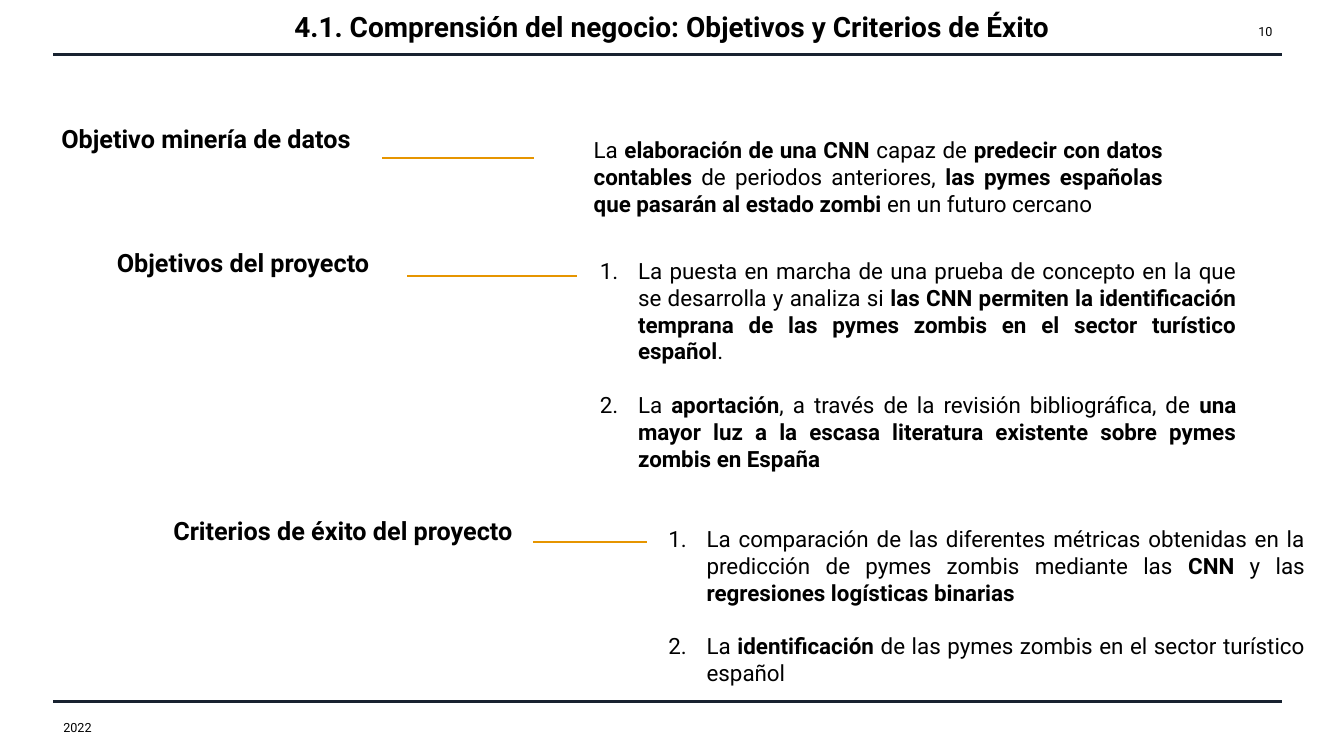
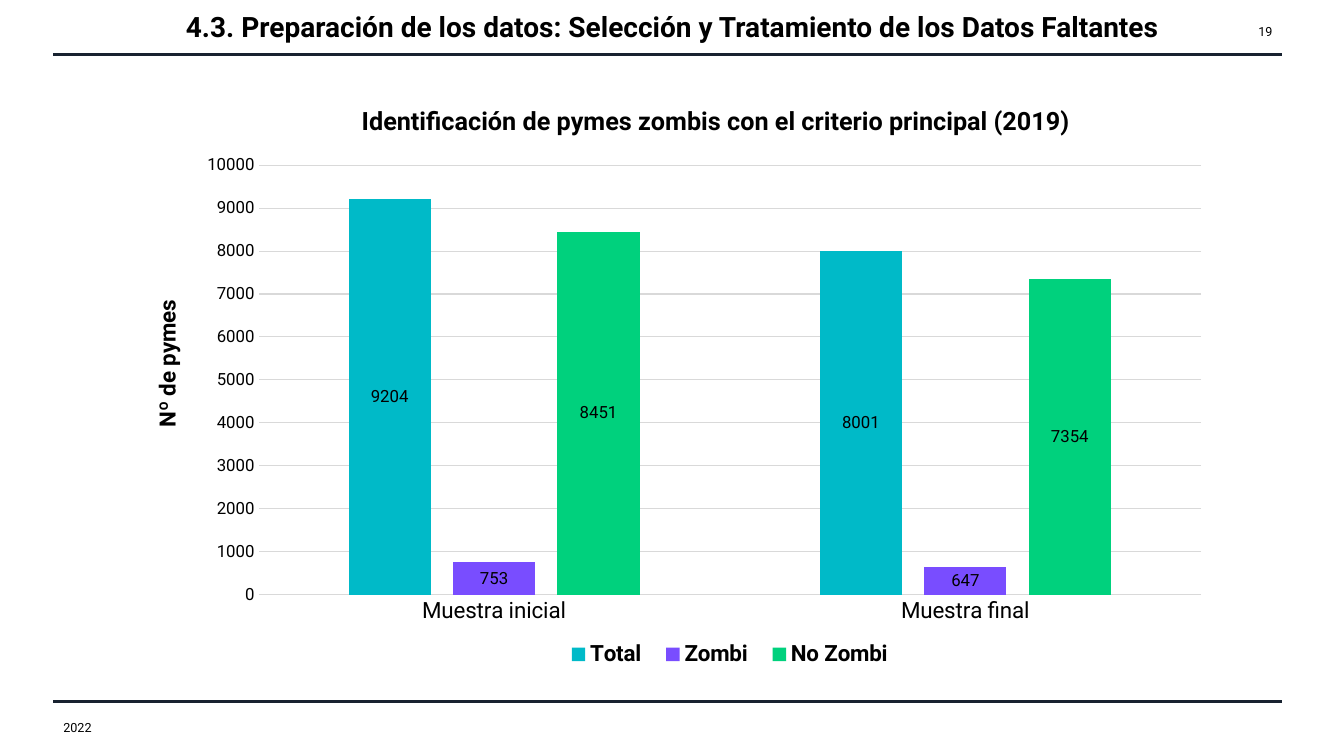
import pptx
import pptx.chart.data
import pptx.dml.color
import pptx.enum.chart
import pptx.enum.shapes
import pptx.enum.text
import pptx.oxml.ns
import pptx.oxml.xmlchemy
import pptx.util

Inches = pptx.util.Inches
Pt = pptx.util.Pt
RGBColor = pptx.dml.color.RGBColor
ALIGN = pptx.enum.text.PP_ALIGN
ANCHOR = pptx.enum.text.MSO_ANCHOR
OxmlElement = pptx.oxml.xmlchemy.OxmlElement
qn = pptx.oxml.ns.qn

FONT = "Roboto"
BLACK = RGBColor(0x00, 0x00, 0x00)
WHITE = RGBColor(0xFF, 0xFF, 0xFF)
NAVY = RGBColor(0x18, 0x22, 0x30)
AMBER = RGBColor(0xE6, 0x95, 0x00)
GRID_GRAY = RGBColor(0xD9, 0xD9, 0xD9)
TEAL = RGBColor(0x00, 0xBA, 0xC8)
VIOLET = RGBColor(0x79, 0x4D, 0xFF)
GREEN = RGBColor(0x00, 0xD1, 0x7D)


def add_line(slide, left, right, y, color, width):
    rule = slide.shapes.add_connector(
        pptx.enum.shapes.MSO_CONNECTOR.STRAIGHT,
        Inches(left), Inches(y), Inches(right), Inches(y))
    rule.line.color.rgb = color
    rule.line.width = Pt(width)
    rule._element.spPr.append(OxmlElement("a:effectLst"))


def add_text(shape, paragraphs, size, align=ALIGN.LEFT, anchor=ANCHOR.TOP,
             bold=False, numbered=False):
    """Fill a shape; each paragraph is a list of runs that alternate in weight."""
    frame = shape.text_frame
    frame.word_wrap = True
    frame.auto_size = pptx.enum.text.MSO_AUTO_SIZE.NONE
    frame.vertical_anchor = anchor
    for number, runs in enumerate(paragraphs):
        paragraph = frame.add_paragraph() if number else frame.paragraphs[0]
        paragraph.alignment = align
        if number:
            paragraph.space_before = Pt(19)
        if numbered:
            properties = paragraph._p.get_or_add_pPr()
            properties.set("marL", str(Inches(0.38)))
            properties.set("indent", str(Inches(-0.38)))
            numbering = OxmlElement("a:buAutoNum")
            numbering.set("type", "arabicPeriod")
            properties.append(numbering)
        for position, text in enumerate(runs):
            run = paragraph.add_run()
            run.text = text
            run.font.name = FONT
            run.font.size = Pt(size)
            run.font.color.rgb = BLACK
            run.font.bold = bold != (position % 2 == 1)


deck = pptx.Presentation()
deck.slide_width = Inches(13.33)
deck.slide_height = Inches(7.5)
background = deck.slide_master.background.fill
background.solid()
background.fore_color.rgb = WHITE

# Title, rules, year and page number
slides = []
for title, left, width, page in [
    ("4.1. Comprensión del negocio: Objetivos y Criterios de Éxito", 2.11, 9.11, "10"),
    ("4.3. Preparación de los datos: Selección y Tratamiento de los Datos Faltantes",
     1.71, 9.92, "19"),
]:
    slide = deck.slides.add_slide(deck.slide_layouts[5])
    heading = slide.shapes.title
    heading.left, heading.top = Inches(left), Inches(0)
    heading.width, heading.height = Inches(width), Inches(0.53)
    add_text(heading, [[title]], 20, ALIGN.CENTER, ANCHOR.MIDDLE, bold=True)
    for y in (0.54, 6.96):
        add_line(slide, 0.53, 12.72, y, NAVY, 2.25)
    year = slide.shapes.add_textbox(Inches(0.53), Inches(7.02), Inches(4.5), Inches(0.4))
    add_text(year, [["2022"]], 9, anchor=ANCHOR.MIDDLE)
    page_number = slide.shapes.add_textbox(
        Inches(12.02), Inches(0.11), Inches(0.7), Inches(0.4))
    add_text(page_number, [[page]], 9, ALIGN.RIGHT, ANCHOR.MIDDLE)
    slides.append(slide)
goals_slide, data_slide = slides

# Goals: label, amber rule and justified explanation
goals = [
    ("Objetivo minería de datos", (0.51, 1.17, 3.28, 0.4), (3.79, 5.3, 1.57),
     (5.79, 1.3, 5.84, 0.91),
     [["La ", "elaboración de una CNN", " capaz de ", "predecir con datos contables",
       " de periodos anteriores, ", "las pymes españolas que pasarán al estado zombi",
       " en un futuro cercano"]]),
    ("Objetivos del proyecto", (1.06, 2.4, 3.28, 0.4), (4.04, 5.72, 2.74),
     (5.85, 2.5, 6.51, 2.26),
     [["La puesta en marcha de una prueba de concepto en la que se desarrolla y analiza si ",
       "las CNN permiten la identificación temprana de las pymes zombis en el sector "
       "turístico español", "."],
      ["La ", "aportación", ", a través de la revisión bibliográfica, de ",
       "una mayor luz a la escasa literatura existente sobre pymes zombis en España"]]),
    ("Criterios de éxito del proyecto", (1.62, 5.06, 3.68, 0.4), (5.29, 6.42, 5.38),
     (6.53, 5.16, 6.51, 1.78),
     [["La comparación de las diferentes métricas obtenidas en la predicción de pymes "
       "zombis mediante las ", "CNN", " y las ", "regresiones logísticas binarias"],
      ["La ", "identificación", " de las pymes zombis en el sector turístico español"]]),
]
for label, label_box, rule, detail_box, paragraphs in goals:
    goal = goals_slide.shapes.add_textbox(*map(Inches, label_box))
    add_text(goal, [[label]], 18, bold=True)
    add_line(goals_slide, *rule, AMBER, 1.5)
    detail = goals_slide.shapes.add_textbox(*map(Inches, detail_box))
    add_text(detail, paragraphs, 16, ALIGN.JUSTIFY, numbered=len(paragraphs) > 1)

# Chart of zombie companies
series_data = [
    ("Total", (9204, 8001), TEAL),
    ("Zombi", (753, 647), VIOLET),
    ("No Zombi", (8451, 7354), GREEN),
]
samples = pptx.chart.data.CategoryChartData()
samples.categories = ["Muestra inicial", "Muestra final"]
for name, values, color in series_data:
    samples.add_series(name, values)
chart = data_slide.shapes.add_chart(
    pptx.enum.chart.XL_CHART_TYPE.COLUMN_CLUSTERED,
    Inches(1.26), Inches(0.81), Inches(10.87), Inches(5.92), samples).chart
chart.font.name = FONT
chart.font.size = Pt(10)
chart.font.color.rgb = BLACK

bars = chart.plots[0]
bars.gap_width = 219
bars.overlap = -27
bars.vary_by_categories = False
for series, (name, values, color) in zip(bars.series, series_data):
    series.format.fill.solid()
    series.format.fill.fore_color.rgb = color
    labels = series.data_labels
    labels.show_value = True
    labels.position = pptx.enum.chart.XL_LABEL_POSITION.CENTER
    labels.font.name = FONT
    labels.font.size = Pt(12)
    labels.font.color.rgb = BLACK

companies = chart.value_axis
companies.minimum_scale = 0
companies.maximum_scale = 10000
companies.major_unit = 1000
companies.format.line.fill.background()
companies.major_gridlines.format.line.color.rgb = GRID_GRAY
companies.major_gridlines.format.line.width = Pt(0.75)
chart.category_axis.format.line.color.rgb = GRID_GRAY
chart.category_axis.format.line.width = Pt(0.75)
for axis, size in ((companies, 12), (chart.category_axis, 16)):
    axis.major_tick_mark = pptx.enum.chart.XL_TICK_MARK.NONE
    axis.tick_labels.font.name = FONT
    axis.tick_labels.font.size = Pt(size)
    axis.tick_labels.font.color.rgb = BLACK

for caption, text, size in (
    (chart.chart_title, "Identificación de pymes zombis con el criterio principal (2019)", 18),
    (companies.axis_title, "Nº de pymes", 16),
):
    run = caption.text_frame.paragraphs[0].add_run()
    run.text = text
    run.font.name = FONT
    run.font.size = Pt(size)
    run.font.bold = True
    run.font.color.rgb = BLACK

chart.has_legend = True
chart.legend.position = pptx.enum.chart.XL_LEGEND_POSITION.BOTTOM
chart.legend.include_in_layout = False
chart.legend.font.name = FONT
chart.legend.font.size = Pt(16)
chart.legend.font.bold = True
chart.legend.font.color.rgb = BLACK

# Chart parts are placed as fractions of the chart area
for query, index, fractions in (
    (".//c:plotArea", 0, {"x": 0.12, "y": 0.14, "w": 0.86, "h": 0.72}),
    ("./c:chart/c:title", 1, {"x": 0.21, "y": 0.03}),
    (".//c:valAx/c:title", 1, {"x": 0.02, "y": 0.36}),
    (".//c:legend", 1, {"x": 0.39, "y": 0.93, "w": 0.32, "h": 0.06}),
):
    area = chart._chartSpace.xpath(query)[0]
    for automatic in area.findall(qn("c:layout")):
        area.remove(automatic)
    layout = OxmlElement("c:layout")
    manual = OxmlElement("c:manualLayout")
    layout.append(manual)
    settings = [("layoutTarget", "inner")] if index == 0 else []
    settings += [("xMode", "edge"), ("yMode", "edge"), *fractions.items()]
    for tag, value in settings:
        setting = OxmlElement("c:" + tag)
        setting.set("val", str(value))
        manual.append(setting)
    area.insert(index, layout)

deck.save("out.pptx")
